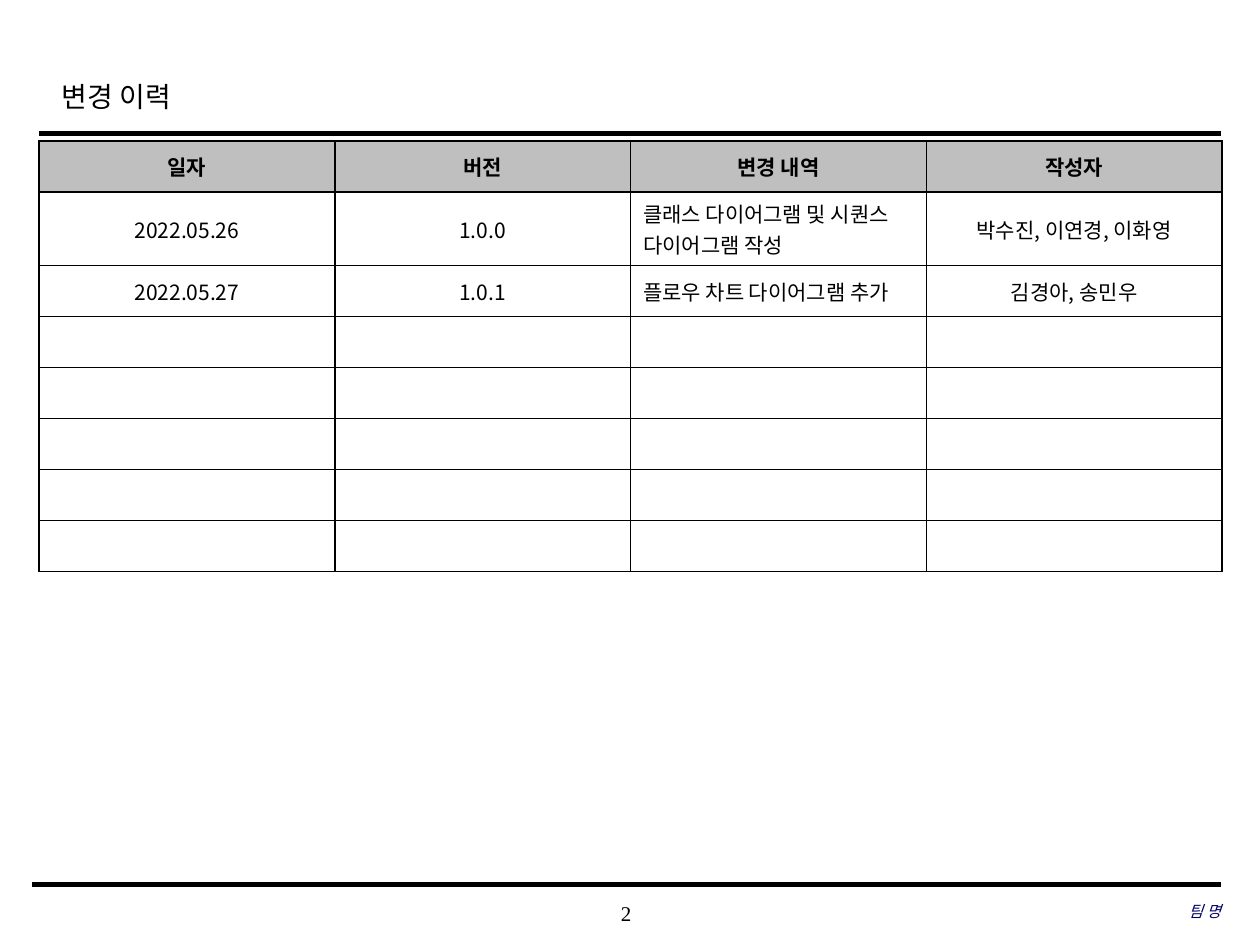
from lxml.etree import SubElement
from pptx import Presentation
from pptx.dml.color import RGBColor
from pptx.enum.shapes import MSO_CONNECTOR
from pptx.enum.text import MSO_ANCHOR, PP_ALIGN
from pptx.oxml import parse_xml
from pptx.oxml.ns import nsdecls, qn
from pptx.util import Inches, Pt

SANS, SERIF = "Noto Sans CJK KR", "Times New Roman"
INK, NAVY, GREY, WHITE = "000000", "000066", "BFBFBF", "FFFFFF"
HEAD = ["일자", "버전", "변경 내역", "작성자"]
ROWS = [
    ["2022.05.26", "1.0.0", "클래스 다이어그램 및 시퀀스 다이어그램 작성", "박수진, 이연경, 이화영"],
    ["2022.05.27", "1.0.1", "플로우 차트 다이어그램 추가", "김경아, 송민우"],
]
SPARE = 5


def color(code):
    return RGBColor.from_string(code)


def add_run(para, text, size, face=SERIF, code=INK, bold=False, slant=False):
    run = para.add_run()
    run.text = text
    font = run.font
    font.size, font.name = Pt(size), face
    font.bold, font.italic = bold, slant
    font.color.rgb = color(code)
    SubElement(font._element, qn("a:ea")).set("typeface", SANS)


def add_rule(slide, left, top, right, width):
    rule = slide.shapes.add_connector(
        MSO_CONNECTOR.STRAIGHT, Inches(left), Inches(top), Inches(right), Inches(top))
    rule.line.color.rgb = color(INK)
    rule.line.width = Pt(width)
    SubElement(rule._element.spPr, qn("a:effectLst"))


def add_label(slide, box, text, align, size, code=INK, slant=False):
    frame = slide.shapes.add_textbox(*map(Inches, box)).text_frame
    frame.word_wrap = True
    frame.vertical_anchor = MSO_ANCHOR.MIDDLE
    frame.margin_left = frame.margin_right = 0
    frame.margin_top = frame.margin_bottom = 0
    para = frame.paragraphs[0]
    para.alignment = align
    add_run(para, text, size, code=code, slant=slant)


def add_title(slide, left, top, width, height):
    title = slide.shapes.title
    title.left, title.top = Inches(left), Inches(top)
    title.width, title.height = Inches(width), Inches(height)
    frame = title.text_frame
    frame.word_wrap = True
    frame.vertical_anchor = MSO_ANCHOR.MIDDLE
    para = frame.paragraphs[0]
    para.alignment = PP_ALIGN.LEFT
    para.line_spacing = 1.2
    add_run(para, "변경 이력", 16)
    # Rule under the title
    add_rule(slide, 0.31, top + 0.57, 9.69, 2.5)


def add_edges(cell):
    props = cell._tc.get_or_add_tcPr()
    for spot, side in enumerate(("L", "R", "T", "B")):
        props.insert(spot, parse_xml(
            f'<a:ln{side} {nsdecls("a")} w="{Pt(1)}"><a:solidFill>'
            f'<a:srgbClr val="{INK}"/></a:solidFill></a:ln{side}>'))


def add_log(slide, left, top, width, height):
    lines = [HEAD] + ROWS + [[""] * len(HEAD)] * SPARE
    table = slide.shapes.add_table(
        len(lines), len(HEAD), Inches(left), Inches(top),
        Inches(width), Inches(height)).table
    for row, line in enumerate(lines):
        for col, text in enumerate(line):
            cell = table.cell(row, col)
            cell.fill.solid()
            cell.fill.fore_color.rgb = color(WHITE if row else GREY)
            cell.vertical_anchor = MSO_ANCHOR.MIDDLE
            add_edges(cell)
            # Only the change notes are set flush left
            note = row > 0 and HEAD[col] == "변경 내역"
            para = cell.text_frame.paragraphs[0]
            para.alignment = PP_ALIGN.LEFT if note else PP_ALIGN.CENTER
            add_run(para, text, 12, SANS, bold=row == 0)


def add_foot(slide, left, top, width):
    right = left + width
    add_rule(slide, left, top, right, 3)
    # Page number and team name
    add_label(slide, (3.93, top + 0.06, 2.08, 0.33), "2", PP_ALIGN.CENTER, 12)
    add_label(slide, (right - 3.06, top + 0.05, 3.06, 0.33), "팀 명",
              PP_ALIGN.RIGHT, 9, NAVY, True)


def main():
    deck = Presentation()
    deck.slide_width, deck.slide_height = Inches(10), Inches(7.5)
    slide = deck.slides.add_slide(deck.slide_layouts[5])
    add_title(slide, 0.39, 0.49, 7.55, 0.5)
    add_log(slide, 0.31, 1.12, 9.39, 3.24)
    add_foot(slide, 0.25, 7.02, 9.44)
    deck.save("out.pptx")


if __name__ == "__main__":
    main()
